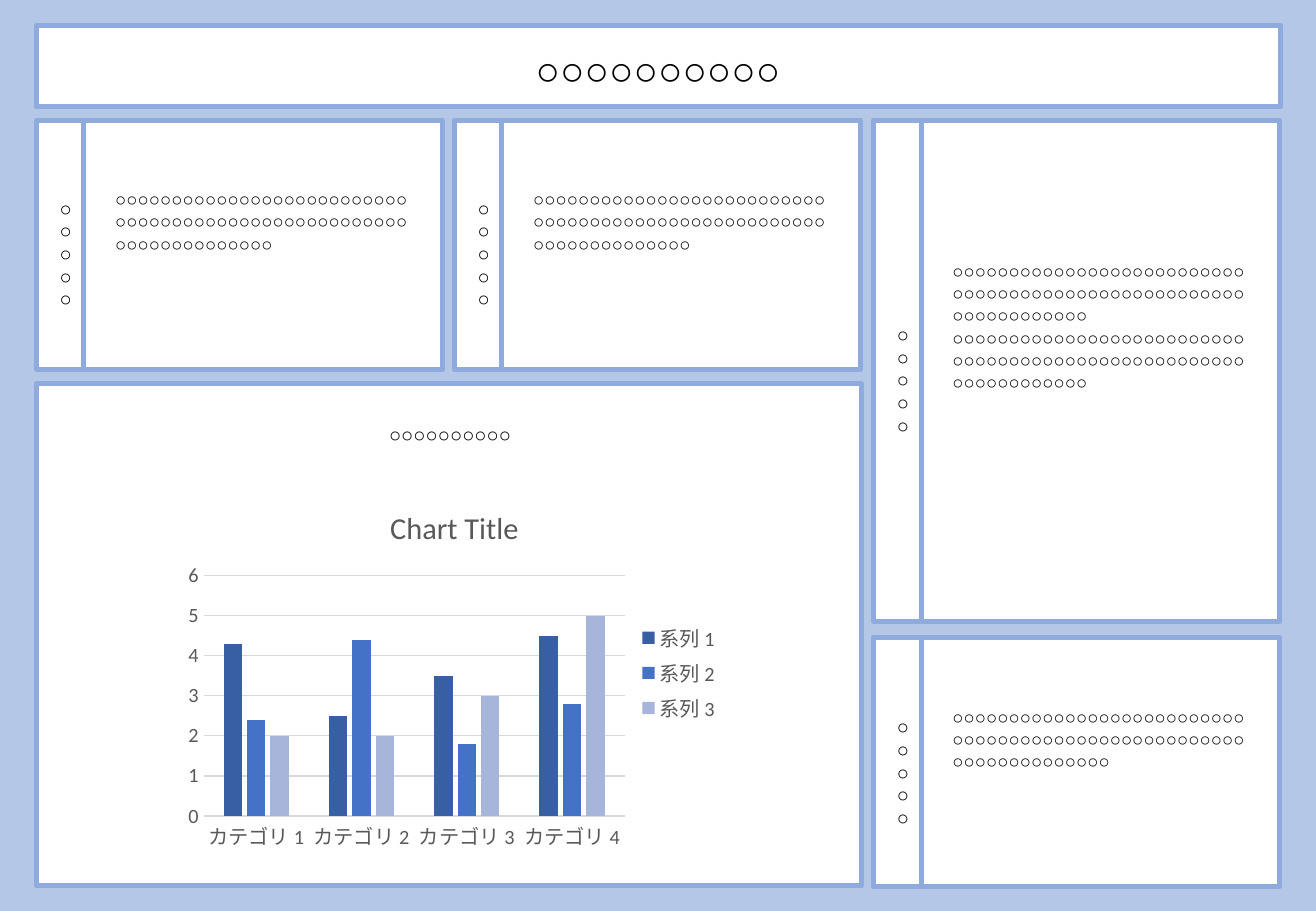
from pptx import Presentation
from pptx.chart.data import CategoryChartData
from pptx.dml.color import RGBColor
from pptx.enum.chart import XL_CHART_TYPE, XL_LEGEND_POSITION, XL_TICK_MARK
from pptx.enum.shapes import MSO_SHAPE
from pptx.enum.text import MSO_ANCHOR, PP_ALIGN
from pptx.oxml.ns import qn
from pptx.util import Pt
from lxml import etree

RECT = MSO_SHAPE.RECTANGLE
CENTER, JUSTIFY, TOP = PP_ALIGN.CENTER, PP_ALIGN.JUSTIFY, MSO_ANCHOR.TOP
COLUMNS, RIGHT = XL_CHART_TYPE.COLUMN_CLUSTERED, XL_LEGEND_POSITION.RIGHT
NO_TICK = XL_TICK_MARK.NONE

# Content
TITLE = "○○○○○○○○○○"
CHART_HEADING = "○○○○○○○○○○"
LABEL = "○○○○○"
BODY = "○" * 66
LONG_BODY = ["○" * 64] * 2
# left, top, height, label top, body top, paragraphs
SECTIONS = [
    (30, 99, 205, 154, 150, [BODY]),
    (374, 99, 205, 154, 150, [BODY]),
    (719, 99, 413, 258, 209, LONG_BODY),
    (719, 525, 205, 581, 576, [BODY]),
]
CHART_TITLE = "Chart Title"
CATEGORIES = ["カテゴリ 1", "カテゴリ 2", "カテゴリ 3", "カテゴリ 4"]
SERIES = [
    ("系列 1", (4.3, 2.5, 3.5, 4.5), "385FA3"),
    ("系列 2", (2.4, 4.4, 1.8, 2.8), "4472C4"),
    ("系列 3", (2, 2, 3, 5), "A8B5DB"),
]

THEME = {
    "back": "B4C7E7", "panel": "FFFFFF", "frame": "8FAADC", "ink": "000000",
    "chart_ink": "595959", "grid": "D9D9D9",
    "font": "Arial", "chart_font": "Calibri",
    "title": 24, "label": 12, "body": 11, "chart_title": 18, "chart": 12,
}
PX = 9144  # 100 px to the inch
LABEL_W, BODY_W, BODY_INSET = 39, 295, 16


def px(*lengths):
    return [round(n * PX) for n in lengths]


def color(name):
    return RGBColor.from_string(THEME.get(name, name))


def add_panel(*box):
    sp = slide.shapes.add_shape(RECT, *px(*box))
    sp.shadow.inherit = False
    sp.fill.solid()
    sp.fill.fore_color.rgb = color("panel")
    sp.line.color.rgb = color("frame")
    sp.line.width = Pt(3)


def write(sp, paragraphs, size, align=CENTER, wrap=True, bold=False, vertical=False):
    tf = sp.text_frame
    tf.word_wrap = wrap
    tf.vertical_anchor = TOP
    if vertical:
        tf._txBody.bodyPr.set("vert", "eaVert")
    for i, text in enumerate(paragraphs):
        p = tf.add_paragraph() if i else tf.paragraphs[0]
        p.alignment = align
        r = p.add_run()
        r.text = text
        r.font.size = Pt(THEME[size])
        r.font.bold = bold
        r.font.color.rgb = color("ink")
        r.font.name = THEME["font"]
        ea = etree.SubElement(r.font._element, qn("a:ea"))
        ea.set("typeface", THEME["font"])


def add_text(box, paragraphs, size, **fmt):
    write(slide.shapes.add_textbox(*px(*box)), paragraphs, size, **fmt)


def style_font(font, size="chart"):
    font.size = Pt(THEME[size])
    font.name = THEME["chart_font"]
    font.bold = False
    font.color.rgb = color("chart_ink")


# Slide
prs = Presentation()
prs.slide_width, prs.slide_height = px(1083, 750)
slide = prs.slides.add_slide(prs.slide_layouts[5])
slide.background.fill.solid()
slide.background.fill.fore_color.rgb = color("back")

# Title band, with the title brought in front of its panel
add_panel(30, 21, 1024, 67)
title = slide.shapes.title
title.left, title.top, title.width, title.height = px(363, 32, 357, 50)
write(title, [TITLE], "title", wrap=False, bold=True)
slide.shapes._spTree.append(title._element)

# Text sections
for left, top, height, label_top, body_top, paragraphs in SECTIONS:
    body_left = left + LABEL_W
    add_panel(left, top, LABEL_W, height)
    add_panel(body_left, top, BODY_W, height)
    add_text((left, label_top, 40, 94), [LABEL], "label", wrap=False, vertical=True)
    add_text((body_left + BODY_INSET, body_top, BODY_W - 2 * BODY_INSET, 103 if len(paragraphs) == 1 else 195),
             paragraphs, "body", align=JUSTIFY)

# Chart section
add_panel(30, 316, 679, 413)
add_text((222, 343, 297, 30), [CHART_HEADING], "label")
data = CategoryChartData()
data.categories = CATEGORIES
for name, values, _ in SERIES:
    data.add_series(name, values)
chart = slide.shapes.add_chart(COLUMNS, *px(146, 401, 456, 306), data).chart
style_font(chart.font)
chart.has_title = True
chart.chart_title.text_frame.text = CHART_TITLE
style_font(chart.chart_title.text_frame.paragraphs[0].runs[0].font, "chart_title")
chart.has_legend = True
chart.legend.position = RIGHT
chart.legend.include_in_layout = False
style_font(chart.legend.font)

plot = chart.plots[0]
plot.vary_by_categories = False
plot.gap_width, plot.overlap = 219, -27
for series, (_, _, fill) in zip(plot.series, SERIES):
    series.format.fill.solid()
    series.format.fill.fore_color.rgb = color(fill)

for axis in (chart.category_axis, chart.value_axis):
    axis.major_tick_mark = axis.minor_tick_mark = NO_TICK
    style_font(axis.tick_labels.font)
chart.value_axis.format.line.fill.background()
for line in (chart.category_axis.format.line, chart.value_axis.major_gridlines.format.line):
    line.color.rgb = color("grid")
    line.width = Pt(0.75)

prs.save("out.pptx")
